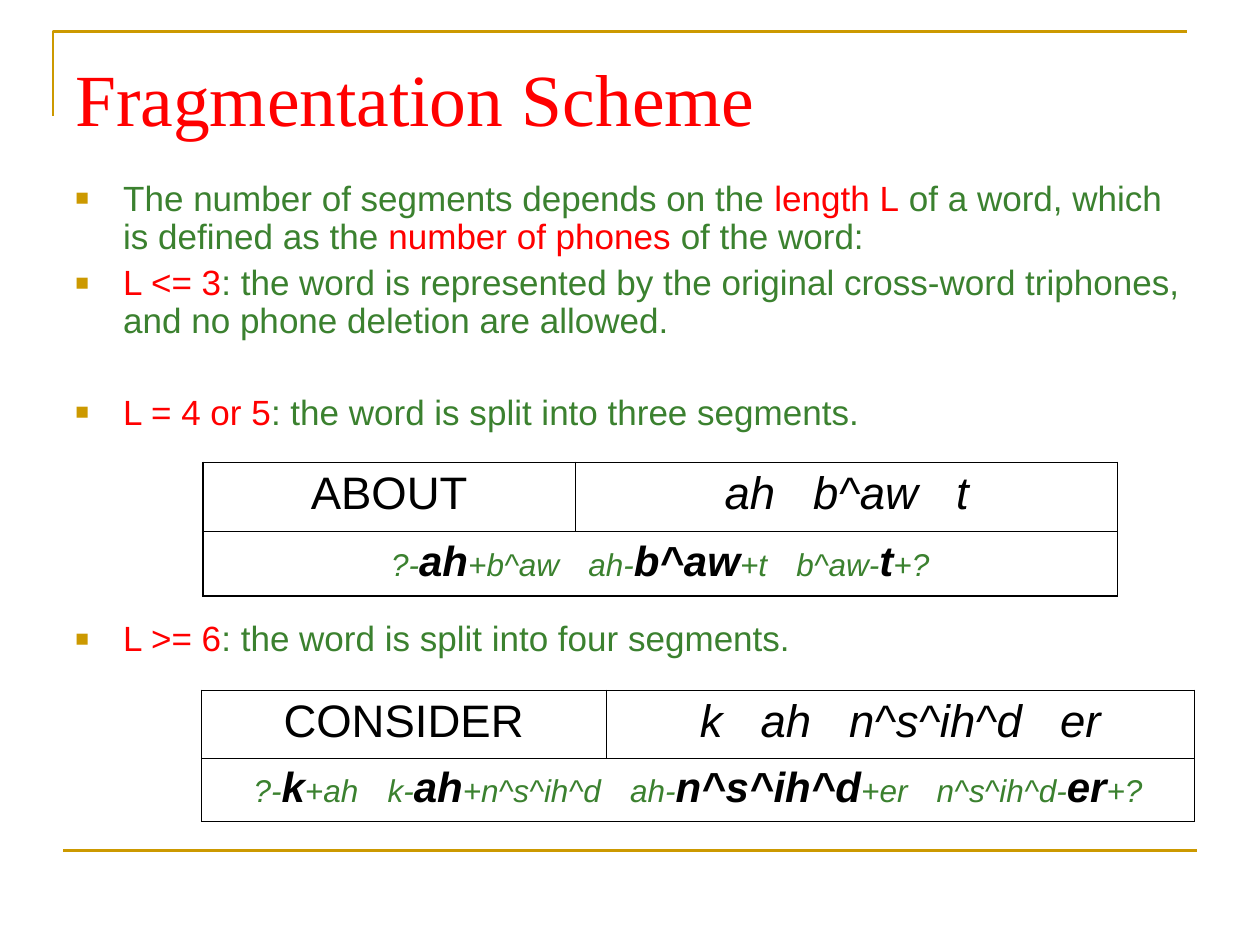
"""Build the slide on the fragmentation scheme for words of different length."""
import lxml.etree
import pptx
import pptx.dml.color
import pptx.enum.shapes
import pptx.enum.text
import pptx.oxml.ns
import pptx.util

Inches, Pt = pptx.util.Inches, pptx.util.Pt
qn = pptx.oxml.ns.qn
COLORS = {"gold": "CC9900", "red": "FF0000", "green": "3B812F", "black": "000000"}


def add_run(paragraph, text, size, color, font="Arial", bold=False, italic=False):
    """Append one formatted run and return it."""
    run = paragraph.add_run()
    run.text = text
    run.font.size = Pt(size)
    run.font.name = font
    run.font.bold = bold
    run.font.italic = italic
    run.font.color.rgb = pptx.dml.color.RGBColor.from_string(COLORS[color])
    return run


def add_gap(paragraph, size):
    """Append one space stretched to the width of three."""
    gap = add_run(paragraph, " ", size, "black", italic=True)
    gap.font._element.set("spc", str(round(size * 0.556 * 100)))


presentation = pptx.Presentation()
presentation.slide_width, presentation.slide_height = Inches(10), Inches(7.5)
slide = presentation.slides.add_slide(presentation.slide_layouts[6])
shapes = slide.shapes

corner_path = shapes.build_freeform(Inches(0.42), Inches(0.92))
corner_path.add_line_segments(
    [(Inches(0.42), Inches(0.25)), (Inches(9.42), Inches(0.25))], close=False)
corner = corner_path.convert_to_shape()
corner.fill.background()
corner.shadow.inherit = False
footer_rule = shapes.add_connector(
    pptx.enum.shapes.MSO_CONNECTOR.STRAIGHT,
    Inches(0.5), Inches(6.75), Inches(9.5), Inches(6.75))
lxml.etree.SubElement(footer_rule._element.spPr, qn("a:effectLst"))
for rule in (corner, footer_rule):
    rule.line.color.rgb = pptx.dml.color.RGBColor.from_string(COLORS["gold"])
    rule.line.width = Pt(1.5)

title = shapes.add_textbox(Inches(0.5), Inches(0.3), Inches(9), Inches(1.25)).text_frame
title.word_wrap = True
title.margin_top = Inches(0.12)
add_run(title.paragraphs[0], "Fragmentation Scheme", 42, "red", font="Times New Roman")

rules = [
    (0, [("The number of segments depends on the ", "green"), ("length L", "red"),
         (" of a word, which is defined as the ", "green"),
         ("number of phones", "red"), (" of the word:", "green")]),
    (5, [("L <= 3", "red"),
         (": the word is represented by the original cross-word triphones, "
          "and no phone deletion are allowed.", "green")]),
    (30.7, [("L = 4 or 5", "red"), (": the word is split into three segments.", "green")]),
    (107.8, [("L >= 6", "red"), (": the word is split into four segments.", "green")]),
]
body = shapes.add_textbox(Inches(0.5), Inches(1.39), Inches(9), Inches(5.32)).text_frame
body.word_wrap = True
for index, (space_before, parts) in enumerate(rules):
    paragraph = body.add_paragraph() if index else body.paragraphs[0]
    paragraph.line_spacing = 0.9
    paragraph.space_before = Pt(space_before)
    properties = paragraph._p.get_or_add_pPr()
    properties.set("marL", str(Inches(0.38)))
    properties.set("indent", str(-Inches(0.38)))
    bullet_color = lxml.etree.SubElement(properties, qn("a:buClr"))
    lxml.etree.SubElement(bullet_color, qn("a:srgbClr"), val=COLORS["gold"])
    lxml.etree.SubElement(properties, qn("a:buSzPct"), val="65000")
    lxml.etree.SubElement(properties, qn("a:buFont"), typeface="Arial")
    lxml.etree.SubElement(properties, qn("a:buChar"), char="■")
    for text, color in parts:
        add_run(paragraph, text, 20, color)

examples = [
    ("ABOUT", ["ah", "b^aw", "t"], (1.61, 3.67), (2.96, 4.3), (0.55, 0.51)),
    ("CONSIDER", ["k", "ah", "n^s^ih^d", "er"], (1.6, 5.48), (3.21, 4.67), (0.54, 0.5)),
]
for word, segments, (left, top), widths, heights in examples:
    table = shapes.add_table(2, 2, Inches(left), Inches(top),
                             Inches(sum(widths)), Inches(sum(heights))).table
    table.first_row = table.horz_banding = False
    for index in range(2):
        table.columns[index].width = Inches(widths[index])
        table.rows[index].height = Inches(heights[index])
    table.cell(1, 0).merge(table.cell(1, 1))

    for row in range(2):
        for column in range(2):
            cell = table.cell(row, column)
            cell.text_frame.paragraphs[0].alignment = pptx.enum.text.PP_ALIGN.CENTER
            cell_properties = cell._tc.get_or_add_tcPr()
            outer_sides = {"lnL": column == 0, "lnR": column == 1 or row == 1,
                           "lnT": row == 0, "lnB": row == 1}
            for side, is_outer in outer_sides.items():
                border = lxml.etree.SubElement(
                    cell_properties, qn(f"a:{side}"), w=str(Pt(1.08 if is_outer else 0.45)))
                border_fill = lxml.etree.SubElement(border, qn("a:solidFill"))
                lxml.etree.SubElement(border_fill, qn("a:srgbClr"), val=COLORS["black"])
            cell.fill.background()

    name, phones, context = [
        table.cell(row, column).text_frame.paragraphs[0]
        for row, column in ((0, 0), (0, 1), (1, 0))]
    add_run(name, word, 26, "black")
    neighbours = ["?", *segments, "?"]
    for index, segment in enumerate(segments):
        if index:
            add_gap(phones, 26)
            add_gap(context, 20)
        add_run(phones, segment, 26, "black", italic=True)
        add_run(context, f"{neighbours[index]}-", 18, "green", italic=True)
        add_run(context, segment, 24, "black", bold=True, italic=True)
        add_run(context, f"+{neighbours[index + 2]}" if index < len(segments) - 1 or word
                else "", 18, "green", italic=True)

presentation.save("out.pptx")
